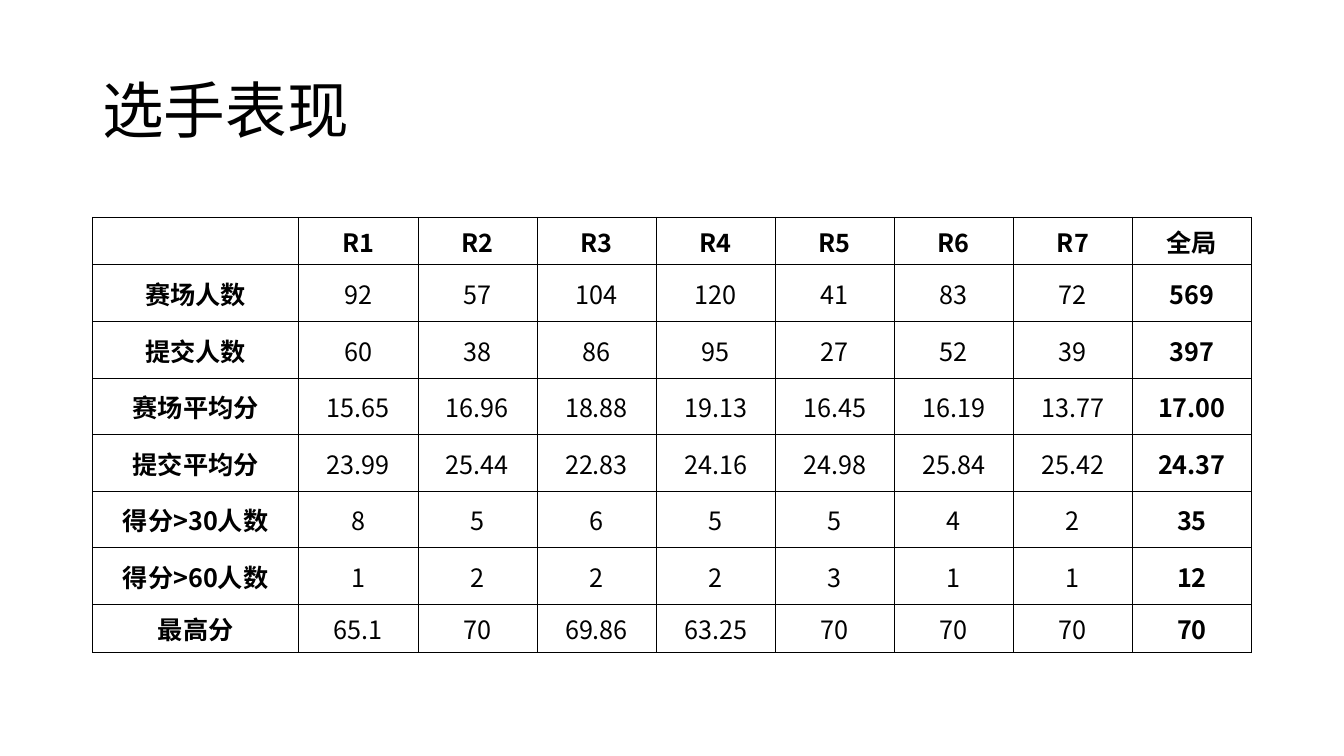
import pptx
import pptx.dml.color
import pptx.enum.text
import pptx.oxml.ns
import pptx.util
from lxml import etree

Cm, Pt = pptx.util.Cm, pptx.util.Pt
MID = pptx.enum.text.MSO_ANCHOR.MIDDLE
ALIGN = pptx.enum.text.PP_ALIGN
COLORS = {"text": "000000", "line": "000000"}
FACE = "Noto Sans CJK SC"
CELL = {"vertical_anchor": MID, "margin_left": Cm(0.02), "margin_right": Cm(0.02),
        "margin_top": Cm(0.02), "margin_bottom": 0}

HEAD = ["", *(f"R{n}" for n in range(1, 8)), "全局"]
STATS = [
    ["赛场人数", "92", "57", "104", "120", "41", "83", "72", "569"],
    ["提交人数", "60", "38", "86", "95", "27", "52", "39", "397"],
    ["赛场平均分", "15.65", "16.96", "18.88", "19.13", "16.45", "16.19", "13.77", "17.00"],
    ["提交平均分", "23.99", "25.44", "22.83", "24.16", "24.98", "25.84", "25.42", "24.37"],
    ["得分>30人数", "8", "5", "6", "5", "5", "4", "2", "35"],
    ["得分>60人数", "1", "2", "2", "2", "3", "1", "1", "12"],
    ["最高分", "65.1", "70", "69.86", "63.25", "70", "70", "70", "70"],
]


def apply(obj, form):
    for key, value in form.items():
        setattr(obj, key, value)


def sub(node, tag, **attrs):
    return etree.SubElement(node, pptx.oxml.ns.qn(tag), **attrs)


def write(para, text, size, bold=False):
    run = para.add_run()
    run.text = text
    apply(run.font, {"size": Pt(size), "bold": bold, "name": FACE})
    run.font.color.rgb = pptx.dml.color.RGBColor.from_string(COLORS["text"])
    sub(run.font._element, "a:ea", typeface=FACE)


def frame(cell):
    props = cell._tc.get_or_add_tcPr()
    for side in "LRTB":
        line = sub(props, f"a:ln{side}", w=str(Pt(0.5)))
        sub(sub(line, "a:solidFill"), "a:srgbClr", val=COLORS["line"])


def add_title(slide, box, text):
    body = slide.shapes.add_textbox(*box).text_frame
    apply(body, {"word_wrap": True, "vertical_anchor": MID})
    para = body.paragraphs[0]
    para.line_spacing = 0.9
    write(para, text, 44)


def add_stats(slide, box, data):
    rows, cols = len(data), len(data[0])
    table = slide.shapes.add_table(rows, cols, *box).table
    apply(table, {"first_row": False, "horz_banding": False})

    # Wide label column, then equal columns
    label = Cm(5.2)
    for c, col in enumerate(table.columns):
        col.width = label if c == 0 else (box[2] - label) // (cols - 1)

    # Low first and last rows, equal rows between
    edge = Cm(1.2)
    for r, row in enumerate(table.rows):
        row.height = edge if r in (0, rows - 1) else (box[3] - 2 * edge) // (rows - 2)

    # Bold head row, label column and total column
    for r, line in enumerate(data):
        for c, text in enumerate(line):
            cell = table.cell(r, c)
            apply(cell, CELL)
            frame(cell)
            cell.fill.background()
            para = cell.text_frame.paragraphs[0]
            para.alignment = ALIGN.CENTER
            if text:
                write(para, text, 18, r == 0 or c in (0, cols - 1))


def main():
    deck = pptx.Presentation()
    apply(deck, {"slide_width": Cm(33.87), "slide_height": Cm(19.05)})
    slide = deck.slides.add_slide(deck.slide_layouts[6])
    left, width = Cm(2.33), Cm(29.21)
    add_title(slide, (left, Cm(1.01), width, Cm(3.68)), "选手表现")
    add_stats(slide, (left, Cm(5.47), width, Cm(10.96)), [HEAD, *STATS])
    deck.save("out.pptx")


if __name__ == "__main__":
    main()
